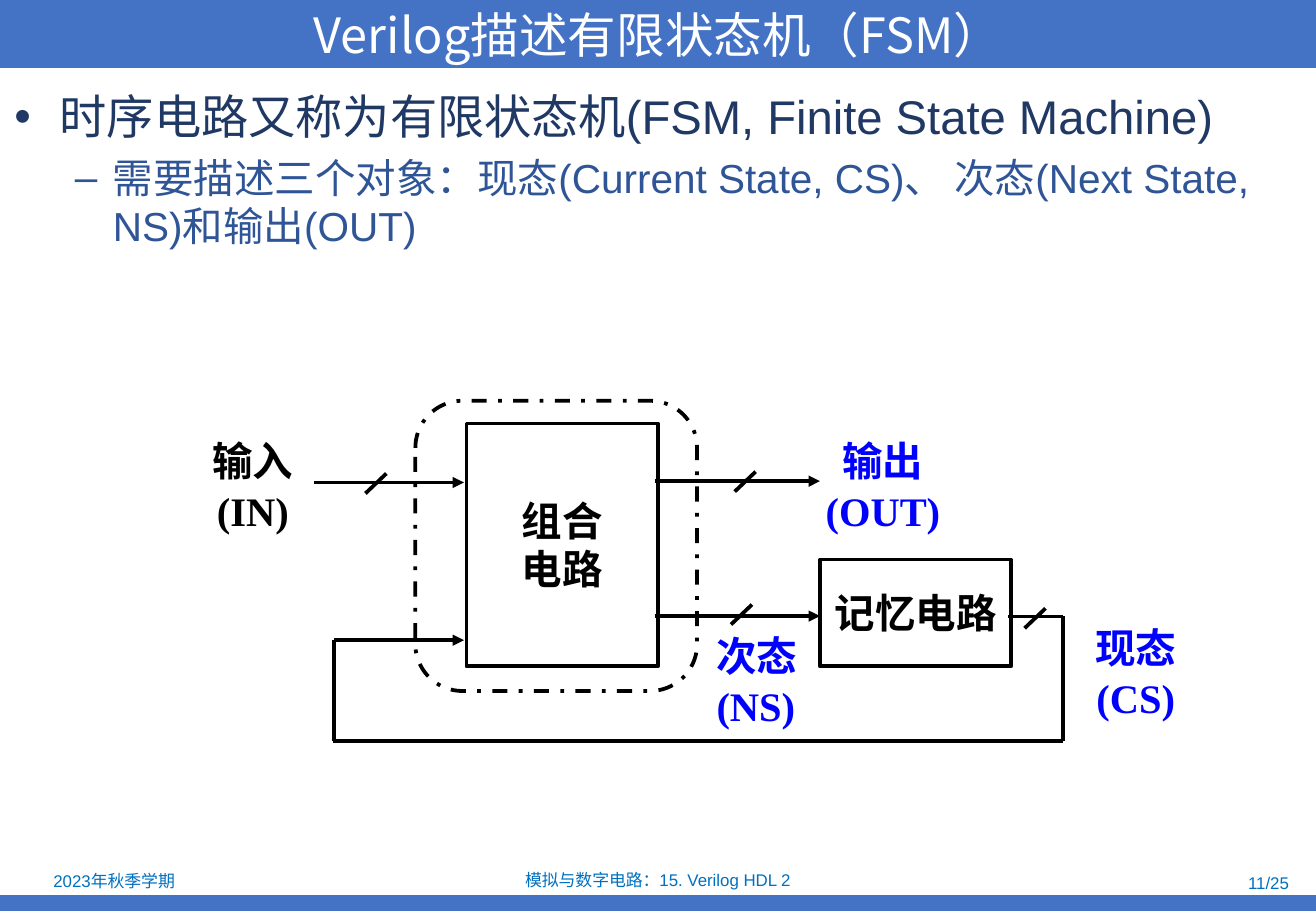
from lxml import etree
from pptx import Presentation
from pptx.dml.color import RGBColor
from pptx.enum.dml import MSO_LINE
from pptx.enum.shapes import MSO_CONNECTOR, MSO_SHAPE
from pptx.enum.text import MSO_ANCHOR, PP_ALIGN
from pptx.oxml.ns import qn
from pptx.util import Pt

RECT, ROUND = MSO_SHAPE.RECTANGLE, MSO_SHAPE.ROUNDED_RECTANGLE
STRAIGHT = MSO_CONNECTOR.STRAIGHT
TOP, MIDDLE = MSO_ANCHOR.TOP, MSO_ANCHOR.MIDDLE
LEFT, CENTER, RIGHT = PP_ALIGN.LEFT, PP_ALIGN.CENTER, PP_ALIGN.RIGHT
DASHDOT = MSO_LINE.DASH_DOT

BAR = RGBColor(0x44, 0x72, 0xC4)
WHITE = RGBColor(0xFF, 0xFF, 0xFF)
BLACK = RGBColor(0, 0, 0)
BLUE = RGBColor(0, 0, 0xFF)
FOOT = RGBColor(0x00, 0x70, 0xC0)
NAVY = RGBColor(0x20, 0x38, 0x64)
STEEL = RGBColor(0x2F, 0x55, 0x97)
HAN = "Noto Sans CJK SC"
WIDTH, HEIGHT = 780, 540
STROKE = 2.25

deck = Presentation()
deck.slide_width, deck.slide_height = Pt(WIDTH), Pt(HEIGHT)
slide = deck.slides.add_slide(deck.slide_layouts[6])
shapes = slide.shapes


def write(shape, lines, align, anchor, style, pitch=None):
    """Fill a shape with lines sharing one style; pitch is the line height."""
    frame = shape.text_frame
    frame.word_wrap = True
    frame.vertical_anchor = anchor
    for i, line in enumerate(lines):
        para = frame.paragraphs[0] if i == 0 else frame.add_paragraph()
        para.alignment = align
        if pitch:
            para.line_spacing = Pt(pitch)
        run = para.add_run()
        run.text = line
        for key, value in style.items():
            if key == "color":
                run.font.color.rgb = value
            else:
                setattr(run.font, key, value)
        props = run.font._element
        etree.SubElement(props, qn("a:ea")).set("typeface", HAN)
    return frame


def block(kind, box, fill=None, line=None):
    shape = shapes.add_shape(kind, *map(Pt, box))
    shape.shadow.inherit = False
    if fill is None:
        shape.fill.background()
    else:
        shape.fill.solid()
        shape.fill.fore_color.rgb = fill
    if line is None:
        shape.line.fill.background()
    else:
        shape.line.color.rgb = line
        shape.line.width = Pt(STROKE)
    return shape


# Title and footer
block(RECT, (0, 530.6, WIDTH, 9.4), BAR)
title = block(RECT, (0, 0, WIDTH, 40.3), BAR)
frame = write(title, ["Verilog描述有限状态机（FSM）"], CENTER, MIDDLE,
              {"size": Pt(28.8), "name": HAN, "color": WHITE})
frame.margin_top = frame.margin_bottom = 0

small = {"size": Pt(10), "name": "Arial", "color": FOOT}
for text, box, align in [
    ("2023年秋季学期", (1.4, 513.7, 132.5, 16.5), CENTER),
    ("模拟与数字电路：15. Verilog HDL 2", (266.4, 514, 247, 15), CENTER),
    ("11/25", (589, 515.5, 182, 15), RIGHT),
]:
    write(shapes.add_textbox(*map(Pt, box)), [text], align, MIDDLE, small)

# Bullets
points = [
    ("时序电路又称为有限状态机(FSM, Finite State Machine)",
     "•", 28, NAVY, 27, -27, 36, 0),
    ("需要描述三个对象：现态(Current State, CS)、 次态(Next State, NS)和输出(OUT)",
     "–", 24, STEEL, 58.5, -22.5, 28.5, 5.5),
]
body = shapes.add_textbox(Pt(1.4), Pt(46), Pt(778), Pt(468))
frame = body.text_frame
frame.word_wrap = True
for i, (text, mark, size, color, left, hang, pitch, gap) in enumerate(points):
    para = frame.paragraphs[0] if i == 0 else frame.add_paragraph()
    para.level = i
    para.line_spacing, para.space_before = Pt(pitch), Pt(gap)
    props = para._p.get_or_add_pPr()
    props.set("marL", str(Pt(left)))
    props.set("indent", str(Pt(hang)))
    etree.SubElement(props, qn("a:buFont")).set("typeface", "Arial")
    etree.SubElement(props, qn("a:buChar")).set("char", mark)
    run = para.add_run()
    run.text = text
    run.font.size, run.font.name = Pt(size), "Arial"
    run.font.color.rgb = color
    etree.SubElement(run.font._element, qn("a:ea")).set("typeface", HAN)

# Circuit blocks
strong = {"size": Pt(24), "bold": True, "name": "Arial", "color": BLACK}
for lines, box, fill in [
    (["组合", "电路"], (276.5, 251, 113.5, 144), WHITE),
    (["记忆电路"], (486, 331.7, 113.3, 63.3), None),
]:
    frame = write(block(RECT, box, fill, BLACK), lines, CENTER, MIDDLE, strong, 28.5)
    frame.margin_left = frame.margin_right = 0
    frame.margin_top = frame.margin_bottom = 0
    frame.word_wrap = False

# Signal labels
for lines, box, align, color in [
    (["现态", "(CS)"], (633.6, 365, 79.2, 65), CENTER, BLUE),
    (["输出", "(OUT)"], (478, 254.2, 90.7, 65), CENTER, BLUE),
    (["次态", "(NS)"], (417.6, 370, 82, 65), LEFT, BLUE),
    (["输入", "(IN)"], (111, 254.2, 77.8, 65), CENTER, BLACK),
]:
    style = strong | {"name": "Times New Roman", "color": color}
    write(shapes.add_textbox(*map(Pt, box)), lines, align, TOP, style, 29.5)

# Wires: ends and whether there is an arrowhead
wires = [
    (186, 286, 275, 286, True),
    (198, 379.5, 275, 379.5, True),
    (388, 365.2, 486, 365.2, True),
    (388, 285.2, 486, 285.2, True),
    (597.6, 365.5, 630, 365.5, False),
    (630, 365.2, 630, 439.2, False),
    (197.3, 439.2, 630, 439.2, False),
    (198, 379.5, 198, 439.2, False),
]
# Bus slashes across the wires
for x, y in [(222.8, 286.6), (441.7, 285.5), (439.5, 364.3), (613.5, 366.5)]:
    wires.append((x + 6.2, y - 5.9, x - 6.2, y + 5.9, False))

for *ends, arrow in wires:
    wire = shapes.add_connector(STRAIGHT, *map(Pt, ends))
    wire.line.color.rgb = BLACK
    wire.line.width = Pt(STROKE)
    if arrow:
        tail = etree.SubElement(wire.line._get_or_add_ln(), qn("a:tailEnd"))
        tail.set("type", "triangle")
    etree.SubElement(wire._element.spPr, qn("a:effectLst"))

# Dashed frame around the logic block
dashed = block(ROUND, (246.2, 237.6, 167, 172), None, BLACK)
dashed.adjustments[0] = 0.167
dashed.line.dash_style = DASHDOT

deck.save("out.pptx")
